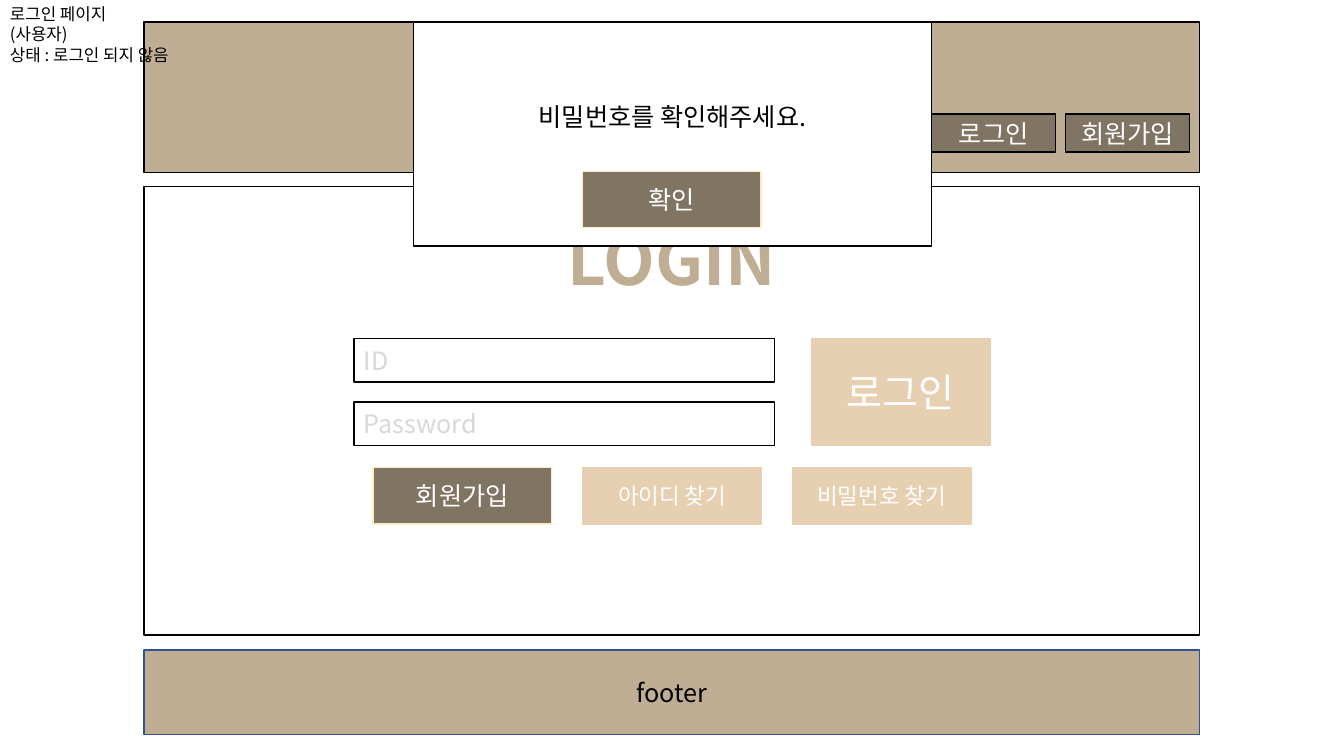
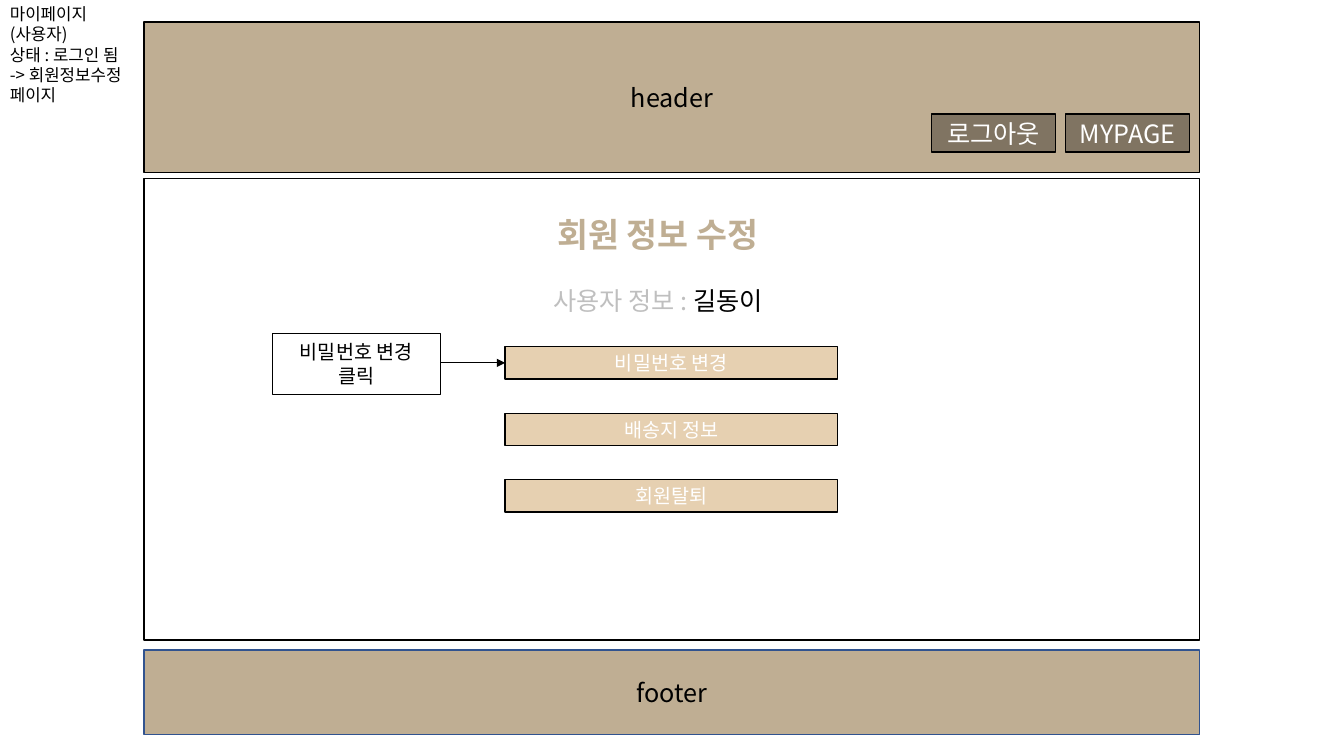
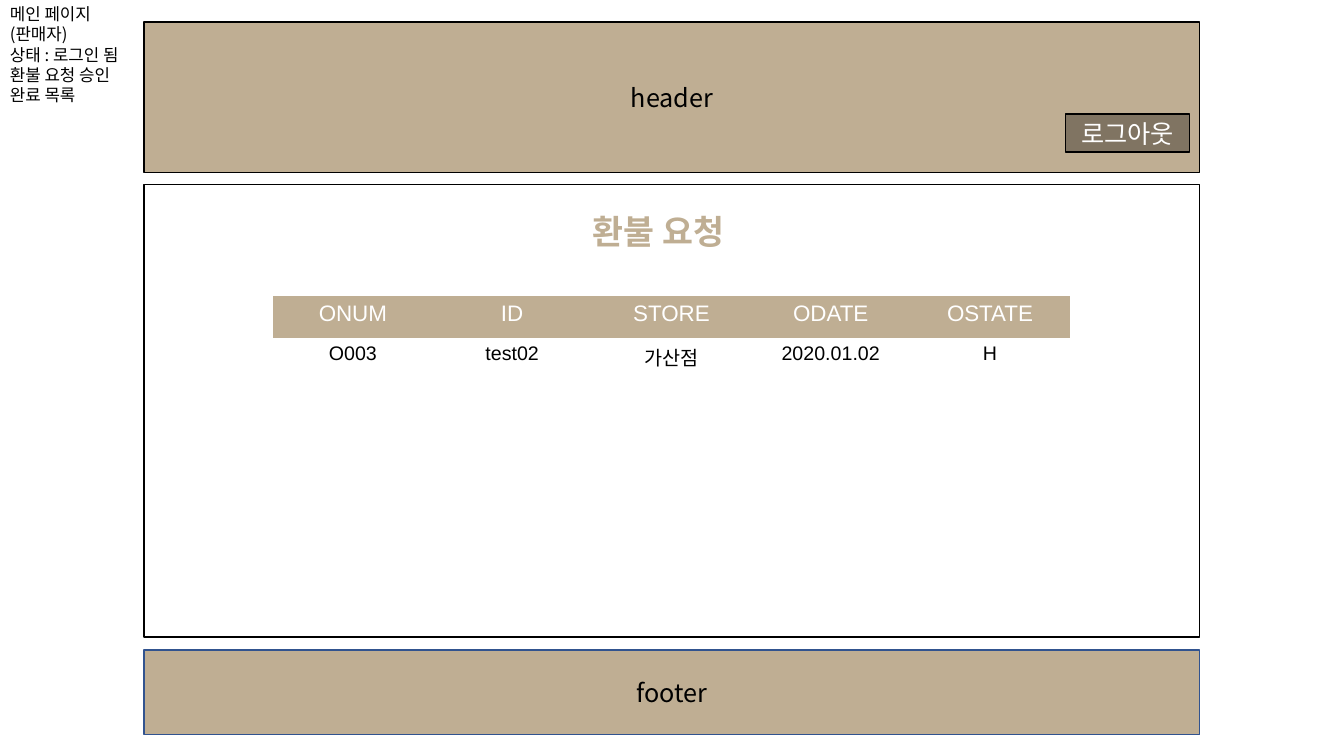
from lxml.etree import SubElement
from pptx import Presentation
from pptx.dml.color import RGBColor
from pptx.enum.shapes import MSO_CONNECTOR, MSO_SHAPE
from pptx.enum.text import MSO_ANCHOR, PP_ALIGN
from pptx.oxml.ns import qn
from pptx.util import Inches, Pt

KOREAN, LATIN = "Noto Sans CJK KR", "Arial"
BLACK, WHITE = "000000", "FFFFFF"
TAN, SAND, BROWN, CREAM = "BFAE93", "E6D0B1", "807462", "FFEBC4"
HINT, LABEL, FOOTER_EDGE = "D8D8D8", "BFBFBF", "31538F"
PAGE_LEFT, PAGE_WIDTH = 1.43, 10.47


def write(paragraph, text, size, color, bold=False, font=KOREAN):
    """Add one run, with the Korean font for East Asian characters."""
    run = paragraph.add_run()
    run.text = text
    run.font.size, run.font.bold, run.font.name = Pt(size), bold, font
    run.font.color.rgb = RGBColor.from_string(color)
    SubElement(run.font._element, qn("a:ea"), typeface=KOREAN)


def box(slide, left, top, width, height, text="", size=18, color=BLACK, fill=None,
        line=None, weight=1, align=PP_ALIGN.CENTER, bold=False, font=KOREAN):
    """Add a rectangle, or a top-left text box when it has no line."""
    place = [Inches(value) for value in (left, top, width, height)]
    if line:
        shape = slide.shapes.add_shape(MSO_SHAPE.RECTANGLE, *place)
        shape.shadow.inherit = False
        shape.fill.solid()
        shape.fill.fore_color.rgb = RGBColor.from_string(fill)
        shape.line.color.rgb = RGBColor.from_string(line)
        shape.line.width = Pt(weight)
    else:
        shape = slide.shapes.add_textbox(*place)
        align = PP_ALIGN.LEFT
    frame = shape.text_frame
    frame.word_wrap = True
    frame.vertical_anchor = MSO_ANCHOR.MIDDLE if line else MSO_ANCHOR.TOP
    for index, words in enumerate(text.split("\n") if text else []):
        paragraph = frame.add_paragraph() if index else frame.paragraphs[0]
        paragraph.alignment = align
        write(paragraph, words, size, color, bold, font)
    return shape


prs = Presentation()
prs.slide_width, prs.slide_height = Inches(13.33), Inches(7.5)

# Shared page frame: state note, content panel top and height, menu from the right
pages = [
    ("로그인 페이지\n(사용자)\n상태 : 로그인 되지 않음", 1.99, 1.85, 4.45,
     ["회원가입", "로그인"]),
    ("마이페이지\n(사용자)\n상태 : 로그인 됨\n-> 회원정보수정 페이지", 1.46, 1.77, 4.58,
     ["MYPAGE", "로그아웃"]),
    ("메인 페이지\n(판매자)\n상태 : 로그인 됨\n환불 요청 승인 완료 목록", 1.43, 1.83, 4.49,
     ["로그아웃"]),
]
for note, note_width, panel_top, panel_height, menu in pages:
    page = prs.slides.add_slide(prs.slide_layouts[6])
    box(page, PAGE_LEFT, 0.22, PAGE_WIDTH, 1.49, "header", fill=TAN, line=BLACK)
    for index, entry in enumerate(menu):
        box(page, 10.57 - index * 1.33, 1.13, 1.23, 0.38, entry, color=WHITE,
            fill=BROWN, line=BLACK)
    box(page, PAGE_LEFT, panel_top, PAGE_WIDTH, panel_height, fill=WHITE, line=BLACK)
    box(page, PAGE_LEFT, 6.45, PAGE_WIDTH, 0.84, "footer", fill=TAN, line=FOOTER_EDGE)
    box(page, 0, -0.01, note_width, 1.11, note, size=12)
login, member, refund = prs.slides

# Login form
box(login, 5.53, 2.12, 2.28, 0.91, "LOGIN", 48, TAN, bold=True)
for top, hint in ((3.36, "ID"), (3.99, "Password")):
    box(login, 3.51, top, 4.17, 0.43, hint, color=HINT, fill=WHITE, line=BLACK,
        align=PP_ALIGN.LEFT)
box(login, 8.05, 3.36, 1.77, 1.06, "로그인", 28, WHITE, fill=SAND, line=SAND)
account_links = [("회원가입", 18, BROWN, CREAM), ("아이디 찾기", 16, SAND, SAND),
                 ("비밀번호 찾기", 16, SAND, SAND)]
for index, (caption, size, fill, edge) in enumerate(account_links):
    box(login, 3.7 + index * 2.08, 4.64, 1.77, 0.56, caption, size, WHITE,
        fill=fill, line=edge)

# Password alert over the form
alert = box(login, 4.1, 0.22, 5.14, 2.22, "비밀번호를 확인해주세요.", fill=WHITE, line=BLACK)
alert.text_frame.margin_bottom = Inches(0.41)
box(login, 5.78, 1.7, 1.77, 0.56, "확인", color=WHITE, fill=BROWN, line=CREAM)

# Member details
box(member, 5.43, 2.07, 2.48, 0.5, "회원 정보 수정", 24, TAN, bold=True)
user = box(member, 5.39, 2.78, 2.55, 0.4, "사용자 정보 : ", color=LABEL)
write(user.text_frame.paragraphs[0], "길동이", 18, BLACK)
for index, choice in enumerate(["비밀번호 변경", "배송지 정보", "회원탈퇴"]):
    box(member, 5.01, 3.44 + index * 0.66, 3.3, 0.32, choice, 14, WHITE,
        fill=SAND, line=BLACK)

# Click callout with its arrow
box(member, 2.7, 3.31, 1.67, 0.6, "비밀번호 변경\n클릭", 14, fill=WHITE, line=BLACK,
    weight=0.75, font=LATIN)
arrow = member.shapes.add_connector(MSO_CONNECTOR.STRAIGHT, Inches(4.37), Inches(3.6),
                                    Inches(5.01), Inches(3.6))
arrow.line.color.rgb = RGBColor.from_string(BLACK)
arrow.line.width = Pt(0.75)
SubElement(arrow.line._get_or_add_ln(), qn("a:tailEnd"), type="triangle")
SubElement(arrow._element.spPr, qn("a:effectLst"))

# Refund requests
box(refund, 5.78, 2.04, 1.78, 0.5, "환불 요청", 24, TAN, bold=True)
requests = [
    ["ONUM", "ID", "STORE", "ODATE", "OSTATE"],
    ["O003", "test02", "가산점", "2020.01.02", "H"],
    [""] * 5,
]
table = refund.shapes.add_table(3, 5, Inches(2.71), Inches(2.94),
                                Inches(5 * 1.58), Inches(3 * 0.41)).table
table.first_row = table.horz_banding = False
# Built-in style without fills or grid
table._tbl.tblPr.find(qn("a:tableStyleId")).text = "{2D5ABB26-0587-4C30-8999-92F81FD0307C}"
for row, values in enumerate(requests):
    for column, value in enumerate(values):
        cell = table.cell(row, column)
        if row == 0:
            cell.fill.solid()
            cell.fill.fore_color.rgb = RGBColor.from_string(TAN)
        else:
            cell.fill.background()
        if value:
            paragraph = cell.text_frame.paragraphs[0]
            paragraph.alignment = PP_ALIGN.CENTER
            write(paragraph, value, 14 if row else 16, BLACK if row else WHITE, font=LATIN)

prs.save("out.pptx")
